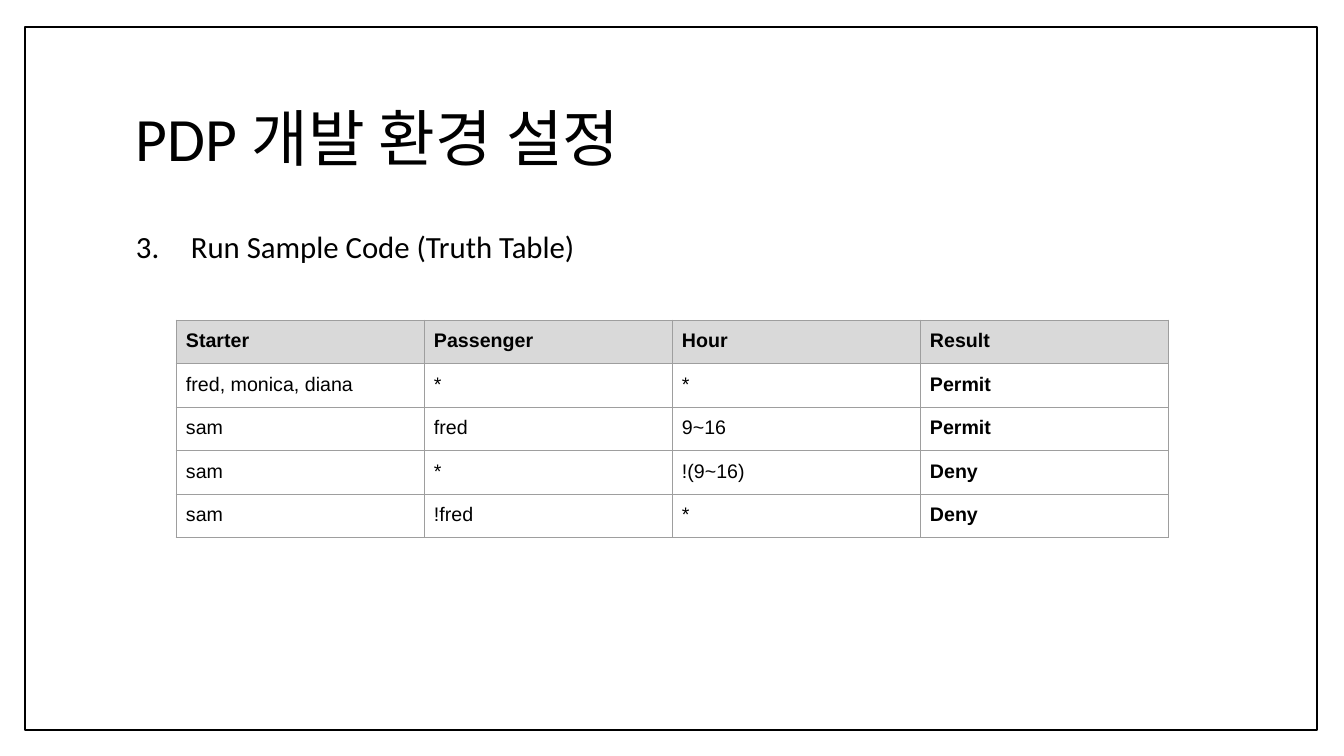
"""Build the PDP development environment slide with its truth table."""
import pptx
import pptx.dml.color
import pptx.enum.shapes
import pptx.enum.text
import pptx.oxml
import pptx.oxml.ns
import pptx.util
from dataclasses import dataclass

TITLE = "PDP 개발 환경 설정"
STEP_NUMBER, STEP = 3, "Run Sample Code (Truth Table)"
TRUTH_TABLE = [
    ("Starter", "Passenger", "Hour", "Result"),
    ("fred, monica, diana", "*", "*", "Permit"),
    ("sam", "fred", "9~16", "Permit"),
    ("sam", "*", "!(9~16)", "Deny"),
    ("sam", "!fred", "*", "Deny"),
]
SLIDE_SIZE = (1344, 756)
FRAME_BOX = (25, 27, 1292, 703)
TITLE_BOX = (126, 67, 1089, 149)
STEP_BOX = (126, 227, 1089, 446)
TABLE_ORIGIN = (176, 320)
COLUMN_WIDTH, ROW_HEIGHT = 248, 42
CELL_INSET, STEP_INDENT = 10, 55


@dataclass(frozen=True)
class Theme:
    ink: str = "000000"
    paper: str = "FFFFFF"
    header: str = "D9D9D9"
    border: str = "9E9E9E"
    text_font: str = "Calibri"
    table_font: str = "Arial"
    title_size: int = 44
    step_size: int = 22
    table_size: int = 14
    frame_width: float = 1
    border_width: float = 0.75
    line_spacing: float = 0.9


THEME = Theme()


def px(length):
    return pptx.util.Emu(round(length * 914400 / 100.8))


def color(value):
    return pptx.dml.color.RGBColor.from_string(value)


def drawing_element(tag, **attributes):
    element = pptx.oxml.parse_xml(f"<a:{tag} {pptx.oxml.ns.nsdecls('a')}/>")
    for name, value in attributes.items():
        element.set(name, str(value))
    return element


def format_runs(paragraph, font_name, size, bold=False):
    for run in paragraph.runs:
        run.font.name = font_name
        run.font.size = pptx.util.Pt(size)
        run.font.bold = bold
        run.font.color.rgb = color(THEME.ink)
        latin = run.font._element.find(pptx.oxml.ns.qn("a:latin"))
        latin.addnext(drawing_element("ea", typeface=font_name))


def add_frame(slide):
    frame = slide.shapes.add_shape(
        pptx.enum.shapes.MSO_SHAPE.RECTANGLE, *map(px, FRAME_BOX))
    frame.shadow.inherit = False
    frame.fill.solid()
    frame.fill.fore_color.rgb = color(THEME.paper)
    frame.line.color.rgb = color(THEME.ink)
    frame.line.width = pptx.util.Pt(THEME.frame_width)


def add_text(slide, box, text, size, anchor):
    text_frame = slide.shapes.add_textbox(*map(px, box)).text_frame
    text_frame.word_wrap = True
    text_frame.vertical_anchor = anchor
    text_frame.text = text
    paragraph = text_frame.paragraphs[0]
    paragraph.line_spacing = THEME.line_spacing
    format_runs(paragraph, THEME.text_font, size)
    return paragraph


def number_paragraph(paragraph, start):
    properties = paragraph._p.get_or_add_pPr()
    properties.set("marL", str(px(STEP_INDENT)))
    properties.set("indent", str(-px(STEP_INDENT)))
    bullet_color = drawing_element("buClr")
    bullet_color.append(drawing_element("srgbClr", val=THEME.ink))
    properties.append(bullet_color)
    properties.append(
        drawing_element("buAutoNum", type="arabicPeriod", startAt=start))


def set_borders(cell):
    properties = cell._tc.get_or_add_tcPr()
    width = pptx.util.Pt(THEME.border_width)
    for index, side in enumerate(("lnL", "lnR", "lnT", "lnB")):
        border = drawing_element(side, w=width)
        fill = drawing_element("solidFill")
        fill.append(drawing_element("srgbClr", val=THEME.border))
        border.append(fill)
        properties.insert(index, border)


def add_truth_table(slide):
    row_count, column_count = len(TRUTH_TABLE), len(TRUTH_TABLE[0])
    size = (column_count * COLUMN_WIDTH, row_count * ROW_HEIGHT)
    table = slide.shapes.add_table(
        row_count, column_count, *map(px, TABLE_ORIGIN + size)).table
    for column in table.columns:
        column.width = px(COLUMN_WIDTH)
    for row_index, values in enumerate(TRUTH_TABLE):
        table.rows[row_index].height = px(ROW_HEIGHT)
        for column_index, value in enumerate(values):
            cell = table.cell(row_index, column_index)
            is_header = row_index == 0
            is_result = column_index == column_count - 1
            cell.text_frame.text = value
            cell.margin_left = cell.margin_right = px(CELL_INSET)
            cell.margin_top = cell.margin_bottom = px(CELL_INSET)
            cell.fill.solid()
            cell.fill.fore_color.rgb = color(
                THEME.header if is_header else THEME.paper)
            format_runs(cell.text_frame.paragraphs[0], THEME.table_font,
                        THEME.table_size, is_header or is_result)
            set_borders(cell)


def main():
    presentation = pptx.Presentation()
    presentation.slide_width, presentation.slide_height = map(px, SLIDE_SIZE)
    slide = presentation.slides.add_slide(presentation.slide_layouts[6])
    add_frame(slide)
    add_text(slide, TITLE_BOX, TITLE, THEME.title_size,
             pptx.enum.text.MSO_ANCHOR.MIDDLE)
    step = add_text(slide, STEP_BOX, STEP, THEME.step_size,
                    pptx.enum.text.MSO_ANCHOR.TOP)
    number_paragraph(step, STEP_NUMBER)
    add_truth_table(slide)
    presentation.save("out.pptx")


if __name__ == "__main__":
    main()
